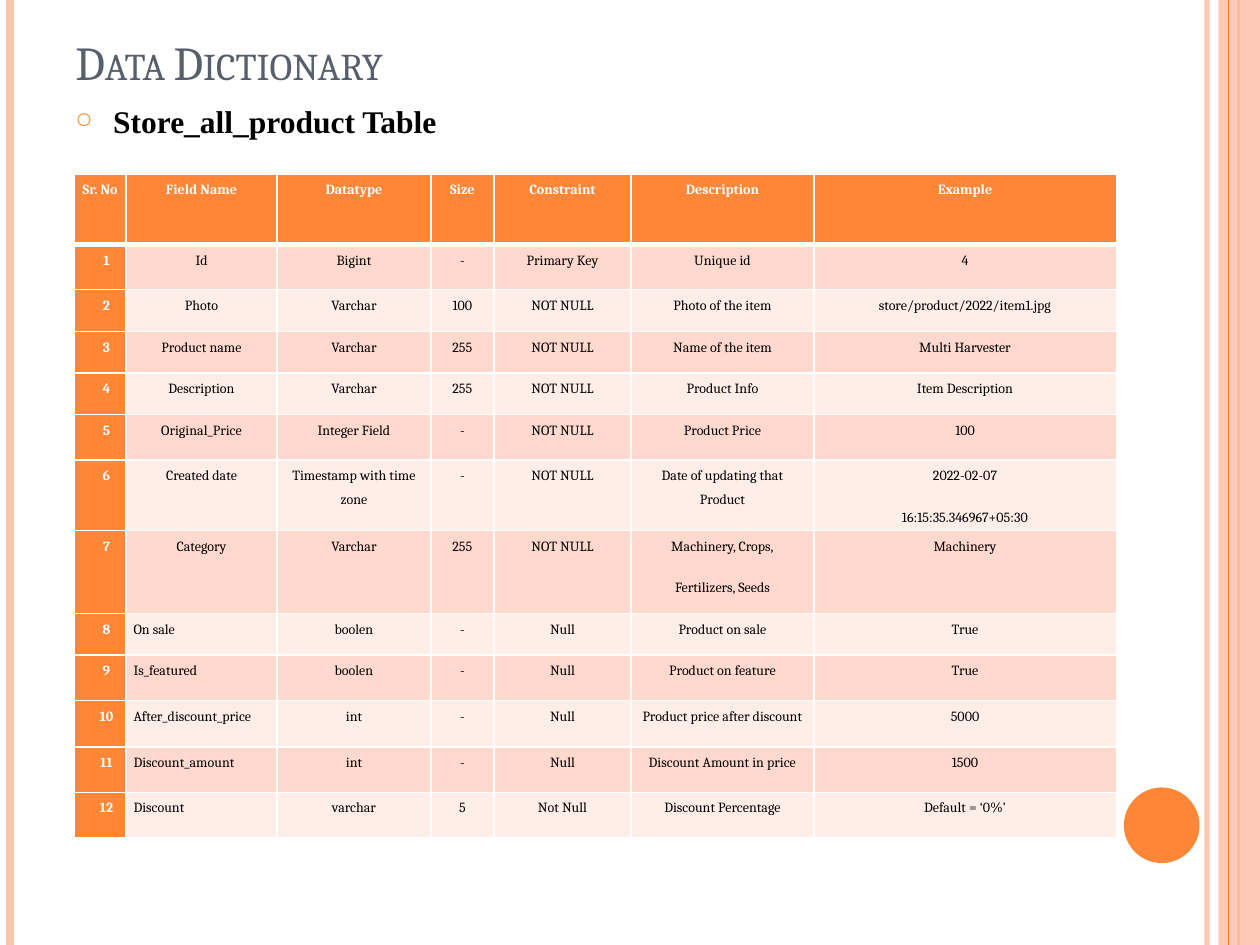
from dataclasses import dataclass

from lxml import etree
from pptx import Presentation
from pptx.dml.color import RGBColor
from pptx.enum import shapes, text
from pptx.oxml import ns
from pptx.util import Inches, Pt


@dataclass(frozen=True)
class Theme:
    orange: RGBColor = RGBColor(0xFE, 0x86, 0x37)
    peach: RGBColor = RGBColor(0xFE, 0xC3, 0xAE)
    band_dark: RGBColor = RGBColor(0xFF, 0xD9, 0xCE)
    band_light: RGBColor = RGBColor(0xFF, 0xED, 0xE8)
    slate: RGBColor = RGBColor(0x57, 0x5F, 0x6D)
    black: RGBColor = RGBColor(0, 0, 0)
    white: RGBColor = RGBColor(0xFF, 0xFF, 0xFF)
    title_size: Pt = Pt(27)
    heading_size: Pt = Pt(18)
    table_size: Pt = Pt(8)
    serif: str = "Cambria"
    heading_font: str = "Times New Roman"


theme = Theme()


def add(parent, tag, **attrs):
    """Append a DrawingML element with the given attributes."""
    return etree.SubElement(parent, ns.qn(tag), {k: str(v) for k, v in attrs.items()})


def style(p, font, size, color, bold=False):
    """Format every run of a paragraph."""
    for r in p.runs:
        r.font.name = font
        r.font.size = size
        r.font.bold = bold
        r.font.color.rgb = color


prs = Presentation()
prs.slide_width, prs.slide_height = Inches(10), Inches(7.5)
s = prs.slides.add_slide(prs.slide_layouts[6])

# Vertical rules, side band and disc: x, width in points, colour, opacity in %
rules = [
    (9.58, 3, theme.peach, 93),
    (0.08, 4.5, theme.peach, 100),
    (9.83, 1.5, theme.orange, 100),
    (9.75, 0.75, theme.orange, 100),
]
decor = [
    (shapes.MSO_SHAPE.RECTANGLE, (9.67, 0, 0.33, 7.5), theme.peach, 87),
    (shapes.MSO_SHAPE.OVAL, (8.92, 6.25, 0.6, 0.6), theme.orange, 100),
]


def set_opacity(element, percent):
    if percent < 100:
        color = next(element.iter(ns.qn("a:srgbClr")))
        add(color, "a:alpha", val=percent * 1000)


# The band lies above the first three rules and below the last one
for i, (x, width, color, opacity) in enumerate(rules):
    if i == 3:
        kind, box, fill, alpha = decor[0]
        sp = s.shapes.add_shape(kind, *map(Inches, box))
        sp.shadow.inherit = False
        sp.fill.solid()
        sp.fill.fore_color.rgb = fill
        sp.line.fill.background()
        set_opacity(sp.fill._xPr, alpha)
    rule = s.shapes.add_connector(
        shapes.MSO_CONNECTOR.STRAIGHT, Inches(x), 0, Inches(x), prs.slide_height)
    rule.line.color.rgb = color
    rule.line.width = Pt(width)
    set_opacity(rule.line._ln, opacity)
    add(rule._element.spPr, "a:effectLst")

kind, box, fill, alpha = decor[1]
sp = s.shapes.add_shape(kind, *map(Inches, box))
sp.shadow.inherit = False
sp.fill.solid()
sp.fill.fore_color.rgb = fill
sp.line.fill.background()

# Title
sp = s.shapes.add_textbox(Inches(0.5), Inches(0.3), Inches(8.17), Inches(0.46))
tf = sp.text_frame
tf.word_wrap = True
tf.vertical_anchor = text.MSO_ANCHOR.BOTTOM
tf.text = "Data Dictionary"
p = tf.paragraphs[0]
style(p, theme.serif, theme.title_size, theme.slate)
p.runs[0].font._element.set("cap", "small")

# Bulleted heading
sp = s.shapes.add_textbox(Inches(0.5), Inches(0.76), Inches(8.17), Inches(0.5))
tf = sp.text_frame
tf.word_wrap = True
tf.text = "Store_all_product Table"
p = tf.paragraphs[0]
pPr = p._p.get_or_add_pPr()
pPr.set("marL", str(Inches(0.3)))
pPr.set("indent", str(Inches(-0.3)))
add(add(pPr, "a:buClr"), "a:srgbClr", val=theme.orange)
add(pPr, "a:buSzPct", val=70000)
add(pPr, "a:buChar", char="○")
style(p, theme.heading_font, theme.heading_size, theme.black, bold=True)

# Field table
header = ["Sr. No", "Field Name", "Datatype", "Size", "Constraint", "Description", "Example"]
fields = [
    ("Id", "Bigint", "-", "Primary Key", "Unique id", "4"),
    ("Photo", "Varchar", "100", "NOT NULL", "Photo of the item", "store/product/2022/item1.jpg"),
    ("Product name", "Varchar", "255", "NOT NULL", "Name of the item", "Multi Harvester"),
    ("Description", "Varchar", "255", "NOT NULL", "Product Info", "Item Description"),
    ("Original_Price", "Integer Field", "-", "NOT NULL", "Product Price", "100"),
    ("Created date", "Timestamp with time zone", "-", "NOT NULL",
     "Date of updating that Product", "2022-02-07\n16:15:35.346967+05:30"),
    ("Category", "Varchar", "255", "NOT NULL",
     "Machinery, Crops,\nFertilizers, Seeds", "Machinery"),
    ("On sale", "boolen", "-", "Null", "Product on sale", "True"),
    ("Is_featured", "boolen", "-", "Null", "Product on feature", "True"),
    ("After_discount_price", "int", "-", "Null", "Product price after discount", "5000"),
    ("Discount_amount", "int", "-", "Null", "Discount Amount in price", "1500"),
    ("Discount", "varchar", "5", "Not Null", "Discount Percentage", "Default = ‘0%’"),
]
rows = [header] + [(str(n), *field) for n, field in enumerate(fields, 1)]
col_widths = [0.41, 1.2, 1.22, 0.5, 1.09, 1.45, 2.4]
row_heights = [0.56, 0.36, 0.33, 0.33, 0.33, 0.36, 0.56, 0.66, 0.33, 0.36, 0.37, 0.36, 0.36]
first_left_row = 8  # field names align left from this row on

table = s.shapes.add_table(len(rows), len(header), Inches(0.59), Inches(1.38),
                           Inches(sum(col_widths)), Inches(sum(row_heights))).table
for column, width in zip(table.columns, col_widths):
    column.width = Inches(width)

for i, values in enumerate(rows):
    table.rows[i].height = Inches(row_heights[i])
    for j, value in enumerate(values):
        cell = table.cell(i, j)
        is_head = i == 0 or j == 0
        cell.margin_left = cell.margin_right = Inches(0.06)
        cell.margin_top = cell.margin_bottom = 0

        # White borders, thick under the header
        tcPr = cell._tc.get_or_add_tcPr()
        for side in "LRTB":
            thick = (i, side) in ((0, "B"), (1, "T"))
            ln = add(tcPr, f"a:ln{side}", w=Pt(3 if thick else 1))
            add(add(ln, "a:solidFill"), "a:srgbClr", val=theme.white)
        cell.fill.solid()
        band = theme.band_dark if i % 2 else theme.band_light
        cell.fill.fore_color.rgb = theme.orange if is_head else band

        cell.text_frame.text = value
        for p in cell.text_frame.paragraphs:
            left = j == 1 and i >= first_left_row
            p.alignment = text.PP_ALIGN.LEFT if left else text.PP_ALIGN.CENTER
            p.line_spacing = 1.5
            p.space_after = Pt(10)
            if j == 0 and i > 0:
                p._p.get_or_add_pPr().set("marL", str(Inches(0.1)))
            style(p, theme.serif, theme.table_size,
                  theme.white if is_head else theme.black, bold=is_head)

prs.save("out.pptx")
